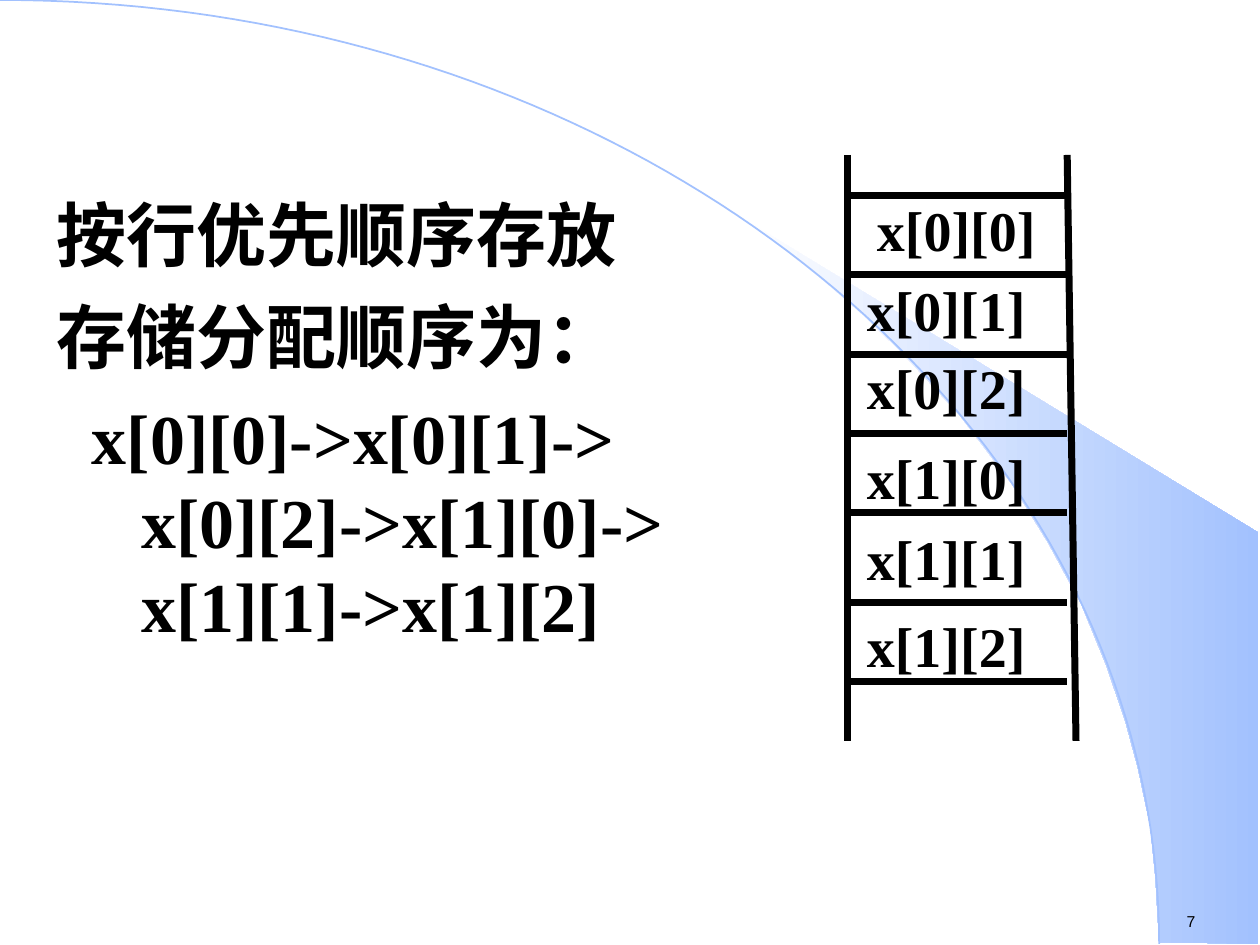
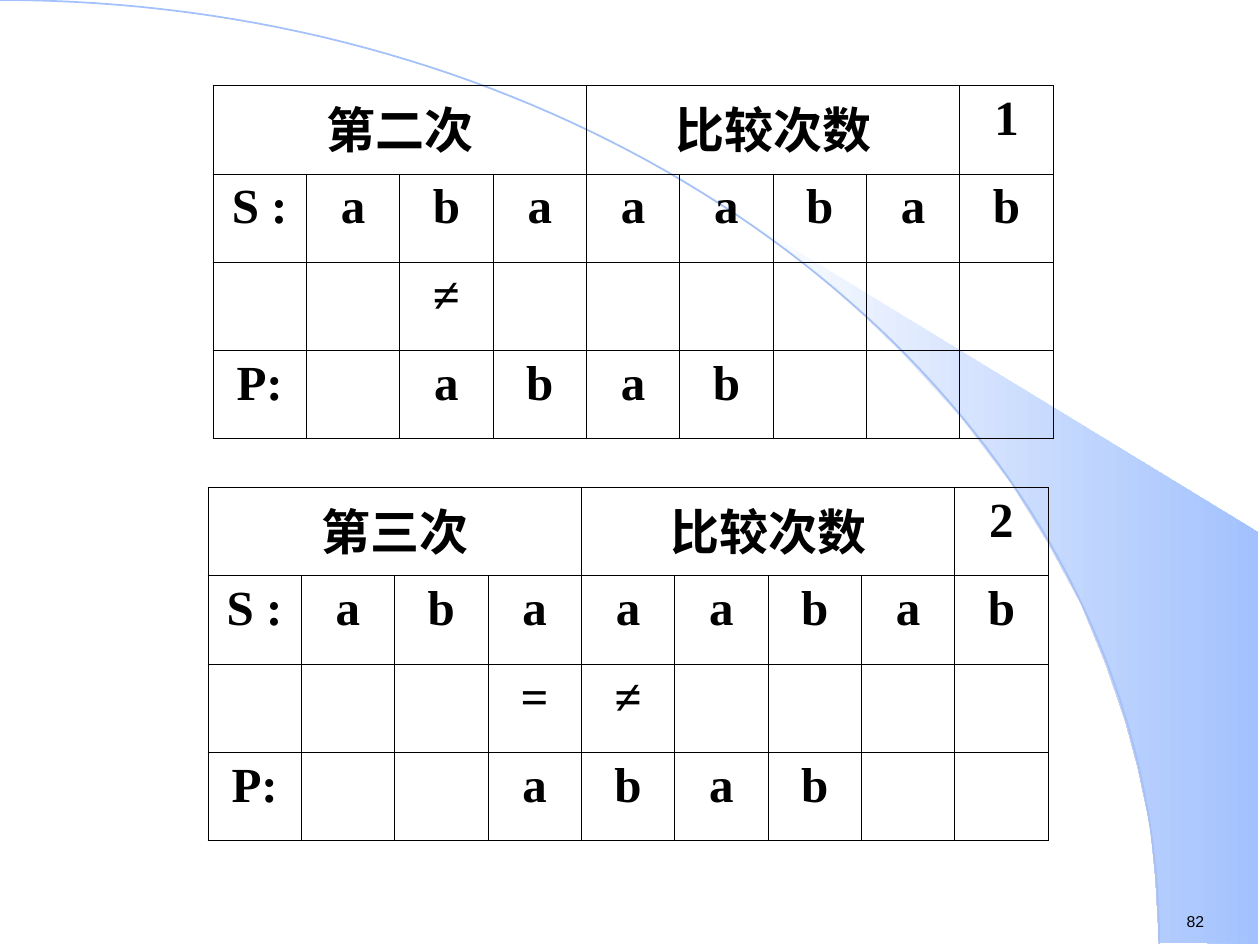
from dataclasses import dataclass
from itertools import accumulate
from typing import Any, NamedTuple

from lxml.etree import SubElement
from pptx import Presentation
from pptx.dml.color import RGBColor
from pptx.enum.text import MSO_ANCHOR, MSO_AUTO_SIZE, PP_ALIGN
from pptx.oxml.ns import qn
from pptx.util import Emu, Inches, Pt

# Slide grid: 100 columns by 75 square rows
SLIDE_WIDTH, SLIDE_HEIGHT = Inches(10), Inches(7.5)
COLUMNS = 100

INK, SKY, WHITE = "000000", "A2C1FE", "FFFFFF"
SERIF = {"name": "Times New Roman", "bold": True}
BODY_FONT = SERIF | {"size": Pt(40)}
MEMORY_FONT = SERIF | {"size": Pt(32)}
TABLE_FONT = SERIF | {"size": Pt(28)}
NUMBER_FONT = {"name": "Arial", "size": Pt(9)}
NO_MARGINS = dict.fromkeys(
    ("margin_left", "margin_top", "margin_right", "margin_bottom"), 0)


class Point(NamedTuple):
    x: float
    y: float


class Box(NamedTuple):
    left: float
    top: float
    width: float
    height: float


@dataclass
class MemoryCell:
    element: str
    height: float = 6.3
    label_left: float = 68.8
    label_drop: float = 0


@dataclass
class Comparison:
    left: float
    top: float
    attempt: str
    count: str
    signs: dict[int, str]
    pattern_start: int


# Shared background: a curved arc with a fading fan
FAN = [Point(*pair) for pair in (
    (92, 74.8), (99.9, 74.9), (99.9, 42.3), (58.9, 17.3), (62.4, 19.9),
    (65.3, 22.2), (68.5, 25), (71.6, 28), (76.2, 33), (80.3, 38.4),
    (83.2, 43.1), (85.8, 47.9), (87.8, 52.8), (89.3, 57.2), (90.3, 60.9),
    (91.3, 65.6), (91.7, 69.6))]
ARC_CONTROLS = (Point(0, 0), Point(50.8, 0), Point(92, 33.5), Point(92, 74.9))
ARC_STEPS = 80

# Row-major array storage
MEMORY_LEFT, MEMORY_RIGHT, MEMORY_TOP = 67.3, 84.7, 15.5
RAIL_TOP, RAIL_BOTTOM, RAIL_LEAN = 12.3, 58.8, 0.7
MEMORY = [
    MemoryCell("x[0][0]", label_left=69.6),
    MemoryCell("x[0][1]", label_drop=0.1),
    MemoryCell("x[0][2]"),
    MemoryCell("x[1][0]", label_drop=0.8),
    MemoryCell("x[1][1]", height=7.1, label_drop=0.9),
    MemoryCell("x[1][2]", label_drop=0.7),
]

# String matching
TEXT, PATTERN = "abaaabab", "abab"
COMPARISONS = [
    Comparison(16.9, 6.8, "第二次", "1", {2: "≠"}, 2),
    Comparison(16.5, 38.7, "第三次", "2", {3: "=", 4: "≠"}, 3),
]
TABLE_COLUMNS, TABLE_ROWS = len(TEXT) + 1, 4
TABLE_WIDTH, TABLE_HEIGHT = 66.7, 28


def grid(units: float) -> Emu:
    return Emu(round(SLIDE_WIDTH * units / COLUMNS))


def colour(code: str) -> RGBColor:
    return RGBColor.from_string(code)


def apply(target: Any, values: dict[str, Any]) -> None:
    for attribute, value in values.items():
        setattr(target, attribute, value)


def style_font(font: Any, values: dict[str, Any]) -> None:
    apply(font, values)
    font.color.rgb = colour(INK)


def add_label(slide: Any, box: Box, words: str, font: dict[str, Any],
              frame: dict[str, Any]) -> None:
    label = slide.shapes.add_textbox(*map(grid, box)).text_frame
    apply(label, {"word_wrap": True} | frame)
    label.text = words
    style_font(label.paragraphs[0].runs[0].font, font)


def add_outline(slide: Any, points: list[Point], close: bool) -> Any:
    start, *others = [(grid(p.x), grid(p.y)) for p in points]
    builder = slide.shapes.build_freeform(*start)
    builder.add_line_segments(others, close=close)
    outline = builder.convert_to_shape()
    outline.shadow.inherit = False
    return outline


def arc_point(t: float) -> Point:
    weights = ((1 - t) ** 3, 3 * t * (1 - t) ** 2, 3 * t * t * (1 - t), t ** 3)
    return Point(sum(w * p.x for w, p in zip(weights, ARC_CONTROLS)),
                 sum(w * p.y for w, p in zip(weights, ARC_CONTROLS)))


def add_background(slide: Any, number: str) -> None:
    fan = add_outline(slide, FAN, close=True)
    fan.line.fill.background()
    fan.fill.gradient()
    fan.fill.gradient_angle = 0
    for stop, code, position in zip(fan.fill.gradient_stops, (WHITE, SKY), (0, 1)):
        stop.color.rgb = colour(code)
        stop.position = position

    arc = add_outline(
        slide, [arc_point(i / ARC_STEPS) for i in range(ARC_STEPS + 1)], close=False)
    arc.fill.background()
    arc.line.color.rgb = colour(SKY)
    arc.line.width = Pt(1)
    add_label(slide, Box(93.2, 71.9, 6.8, 2.5), number, NUMBER_FONT, {})


def add_rule(slide: Any, start: Point, end: Point) -> None:
    rule = slide.shapes.add_connector(1, *map(grid, (*start, *end)))
    rule.line.color.rgb = colour(INK)
    rule.line.width = Pt(4)
    SubElement(rule._element.spPr, qn("a:effectLst"))


def add_explanation(slide: Any) -> None:
    slide.shapes.title.element.getparent().remove(slide.shapes.title.element)
    body = slide.placeholders[1]
    apply(body, dict(zip(("left", "top", "width", "height"),
                         map(grid, Box(3.5, 14.7, 56.7, 46.5)))))
    frame = body.text_frame
    apply(frame, {"auto_size": MSO_AUTO_SIZE.NONE, "word_wrap": True,
                  "vertical_anchor": MSO_ANCHOR.TOP})
    lines = (
        ("按行优先顺序存放", PP_ALIGN.JUSTIFY, -6.7),
        ("存储分配顺序为：", PP_ALIGN.LEFT, -6.7),
        ("x[0][0]->x[0][1]-> x[0][2]->x[1][0]-> x[1][1]->x[1][2]", PP_ALIGN.LEFT, -3.9),
    )
    frame.text = "\n".join(words for words, _, _ in lines)
    for index, (paragraph, (_, alignment, indent)) in enumerate(
            zip(frame.paragraphs, lines)):
        properties = paragraph._p.get_or_add_pPr()
        properties.set("marL", str(grid(6.7)))
        properties.set("indent", str(grid(indent)))
        SubElement(properties, qn("a:buNone"))
        apply(paragraph, {"alignment": alignment,
                          "space_before": Pt(10 if index else 0)})
        style_font(paragraph.runs[0].font, BODY_FONT)


def add_memory(slide: Any) -> None:
    # Side rails, the right one leaning slightly outwards
    for x, lean in ((MEMORY_LEFT, 0), (MEMORY_RIGHT, RAIL_LEAN)):
        add_rule(slide, Point(x, RAIL_TOP), Point(x + lean, RAIL_BOTTOM))
    # Borders between the cells, and their labels
    borders = list(accumulate((cell.height for cell in MEMORY), initial=MEMORY_TOP))
    for y in borders:
        add_rule(slide, Point(MEMORY_LEFT, y), Point(MEMORY_RIGHT, y))
    for cell, top in zip(MEMORY, borders):
        add_label(slide, Box(cell.label_left, top + cell.label_drop, 13.6, 5.3),
                  cell.element, MEMORY_FONT, NO_MARGINS)


def add_borders(cell: Any) -> None:
    properties = cell._tc.get_or_add_tcPr()
    for side in ("lnL", "lnR", "lnT", "lnB"):
        border = SubElement(properties, qn(f"a:{side}"), w=str(Pt(0.45)))
        SubElement(SubElement(border, qn("a:solidFill")), qn("a:srgbClr"), val=INK)


def add_comparison(slide: Any, comparison: Comparison) -> None:
    table = slide.shapes.add_table(
        TABLE_ROWS, TABLE_COLUMNS,
        *map(grid, Box(comparison.left, comparison.top, TABLE_WIDTH, TABLE_HEIGHT))).table
    apply(table, {"first_row": False, "horz_banding": False})
    for column in table.columns:
        column.width = grid(TABLE_WIDTH / TABLE_COLUMNS)
    for first in (0, 4):
        table.cell(0, first).merge(table.cell(0, first + 3))

    contents = (
        {0: comparison.attempt, 4: "比较次数", 8: comparison.count},
        {0: "S :"} | dict(enumerate(TEXT, start=1)),
        comparison.signs,
        {0: "P:"} | dict(enumerate(PATTERN, start=comparison.pattern_start)),
    )
    for row, entries in enumerate(contents):
        for column in range(TABLE_COLUMNS):
            cell = table.cell(row, column)
            add_borders(cell)
            cell.fill.background()
            if column in entries:
                cell.text = entries[column]
                paragraph = cell.text_frame.paragraphs[0]
                paragraph.alignment = PP_ALIGN.CENTER
                style_font(paragraph.runs[0].font, TABLE_FONT)


def main() -> None:
    deck = Presentation()
    apply(deck, {"slide_width": SLIDE_WIDTH, "slide_height": SLIDE_HEIGHT})

    # Row-major storage order
    storage = deck.slides.add_slide(deck.slide_layouts[1])
    add_background(storage, "7")
    add_explanation(storage)
    add_memory(storage)

    # Second and third matching attempts
    matching = deck.slides.add_slide(deck.slide_layouts[6])
    add_background(matching, "82")
    for comparison in COMPARISONS:
        add_comparison(matching, comparison)

    deck.save("out.pptx")


if __name__ == "__main__":
    main()
